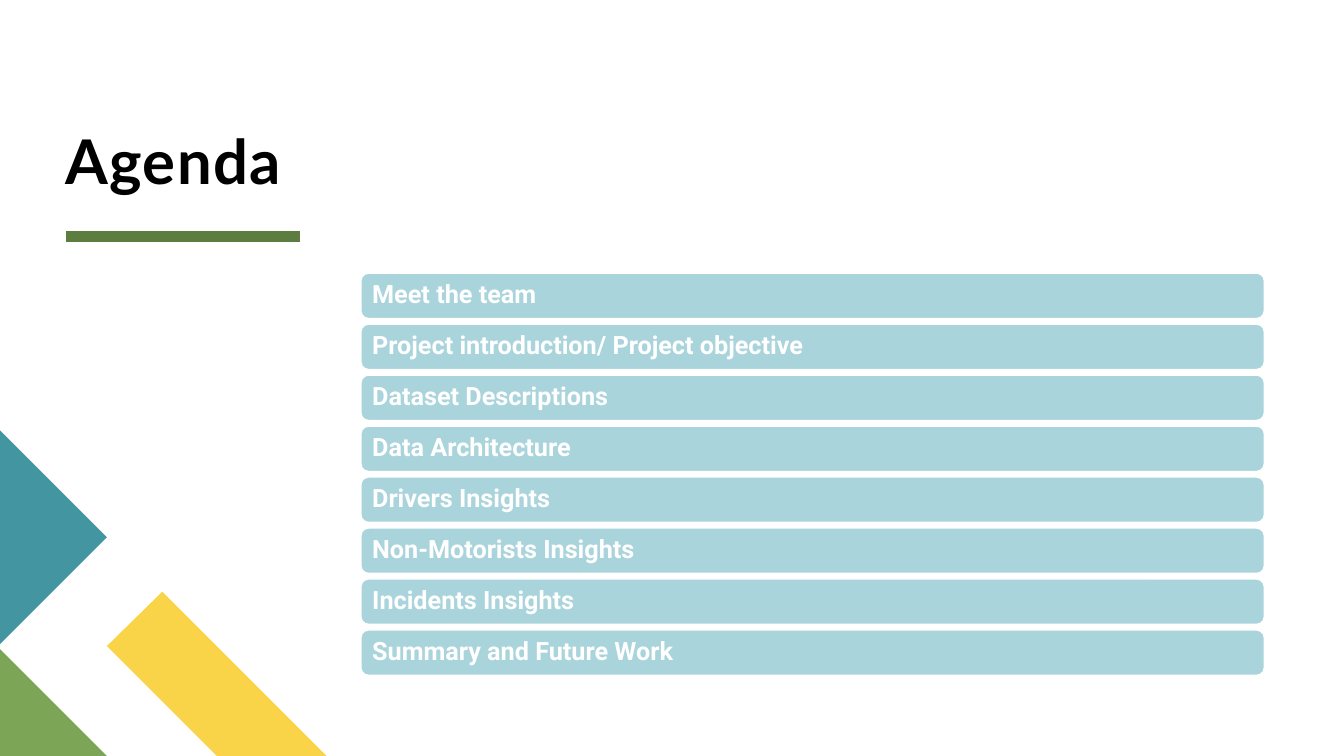
import pptx
import pptx.util
import pptx.dml.color
import pptx.enum.shapes
import pptx.enum.text
import pptx.oxml.ns
import lxml.etree

Inches = pptx.util.Inches
Pt = pptx.util.Pt
ANCHOR = pptx.enum.text.MSO_ANCHOR


def color(code):
    return pptx.dml.color.RGBColor.from_string(code)


class Deck:
    """Holds the presentation, its style and the current slide."""
    head = "Lato"
    body = "Roboto"
    ink = "000000"
    white = "FFFFFF"
    rule = "5D7D40"
    bar_fill = "A9D4DB"

    def __init__(self):
        self.prs = pptx.Presentation()
        self.prs.slide_width = Inches(13.33)
        self.prs.slide_height = Inches(7.5)
        self.slide = self.prs.slides.add_slide(self.prs.slide_layouts[6])
        self.shapes = self.slide.shapes

    def label(self, shape, text, font, size, tone, inset, anchor, spacing):
        """Set one bold, left-aligned line of text; return its run."""
        frame = shape.text_frame
        frame.word_wrap = True
        frame.vertical_anchor = anchor
        frame.margin_left = frame.margin_right = Inches(inset)
        frame.margin_top = frame.margin_bottom = Inches(inset)
        para = frame.paragraphs[0]
        para.alignment = pptx.enum.text.PP_ALIGN.LEFT
        para.line_spacing = spacing
        run = para.add_run()
        run.text = text
        run.font.name = font
        run.font.size = Pt(size)
        run.font.bold = True
        run.font.color.rgb = color(tone)
        return run

    def title(self, text, left, top, width, height):
        box = self.shapes.add_textbox(
            Inches(left), Inches(top), Inches(width), Inches(height))
        run = self.label(box, text, self.head, 44, self.ink, 0,
                         ANCHOR.BOTTOM, 0.8)
        run.font._element.set("spc", "100")

    def bar(self, text, left, top, width, height):
        bar = self.shapes.add_shape(
            pptx.enum.shapes.MSO_SHAPE.ROUNDED_RECTANGLE,
            Inches(left), Inches(top), Inches(width), Inches(height))
        bar.shadow.inherit = False
        bar.fill.solid()
        bar.fill.fore_color.rgb = color(self.bar_fill)
        bar.line.color.rgb = color(self.white)
        bar.line.width = Pt(1)
        self.label(bar, text, self.body, 18, self.white, 0.09,
                   ANCHOR.MIDDLE, 0.9)

    def line(self, left, right, y, width):
        line = self.shapes.add_connector(
            pptx.enum.shapes.MSO_CONNECTOR.STRAIGHT,
            Inches(left), Inches(y), Inches(right), Inches(y))
        line.line.color.rgb = color(self.rule)
        line.line.width = Pt(width)
        lxml.etree.SubElement(line._element.spPr,
                              pptx.oxml.ns.qn("a:effectLst"))

    def patch(self, fill, points):
        """Draw a filled polygon without an outline."""
        dots = [(Inches(x), Inches(y)) for x, y in points]
        form = self.shapes.build_freeform(*dots[0])
        form.add_line_segments(dots[1:], close=True)
        patch = form.convert_to_shape()
        patch.shadow.inherit = False
        patch.fill.solid()
        patch.fill.fore_color.rgb = color(fill)
        patch.line.fill.background()


TOPICS = [
    "Meet the team",
    "Project introduction/ Project objective",
    "Dataset Descriptions",
    "Data Architecture",
    "Drivers Insights",
    "Non-Motorists Insights",
    "Incidents Insights",
    "Summary and Future Work",
]
PATCHES = {
    "F9D448": [(3.24, 7.5), (2.15, 7.5), (1.06, 6.41), (1.61, 5.87)],
    "7CA655": [(1.06, 7.5), (0, 7.5), (0, 6.44)],
    "4495A2": [(0, 4.27), (1.06, 5.33), (0, 6.39)],
}
FIRST, LAST = 2.71, 6.25


def main():
    deck = Deck()
    deck.line(0.65, 2.98, 2.35, 8)
    for fill, points in PATCHES.items():
        deck.patch(fill, points)
    deck.title("Agenda", 0.65, 0.11, 11.89, 1.84)
    step = (LAST - FIRST) / (len(TOPICS) - 1)
    for i, topic in enumerate(TOPICS):
        deck.bar(topic, 3.58, FIRST + i * step, 8.96, 0.45)
    deck.prs.save("out.pptx")


if __name__ == "__main__":
    main()
